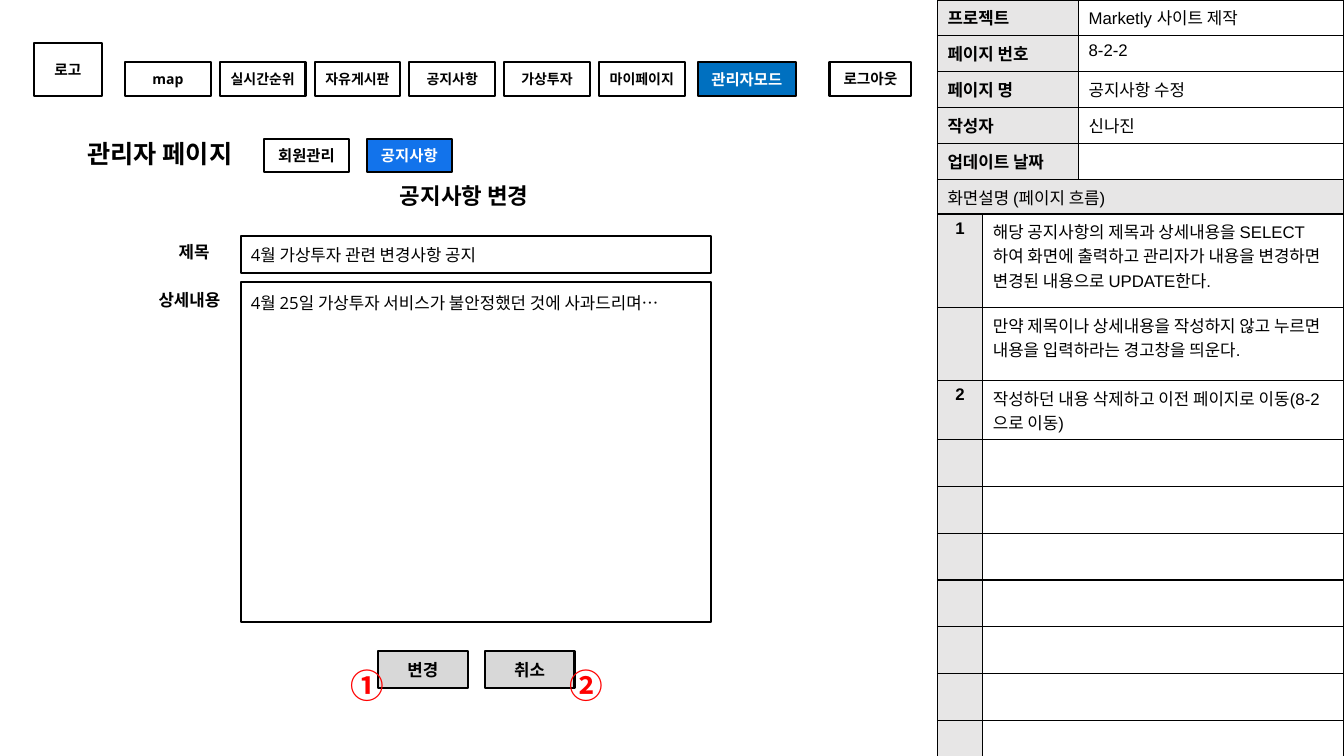
from collections import namedtuple

from lxml import etree
from pptx import Presentation
from pptx.dml.color import RGBColor
from pptx.enum import shapes, text
from pptx.oxml import ns
from pptx.util import Pt

Box = namedtuple("Box", "left top width height")

COLORS = {
    "ink": "000000",
    "paper": "FFFFFF",
    "label": "E7E6E6",
    "button": "D8D8D8",
    "mode": "0070C0",
    "tab": "1273EB",
    "marker": "FF0000",
}

MENU = ["map", "실시간순위", "자유게시판", "공지사항", "가상투자", "마이페이지"]

PROJECT = [
    ("프로젝트", "Marketly 사이트 제작"),
    ("페이지 번호", "8-2-2"),
    ("페이지 명", "공지사항 수정"),
    ("작성자", "신나진"),
    ("업데이트 날짜", ""),
]

NOTES = [
    ("1", "해당 공지사항의 제목과 상세내용을 SELECT하여 화면에 출력하고 "
          "관리자가 내용을 변경하면 변경된 내용으로 UPDATE한다.", 67),
    ("", "만약 제목이나 상세내용을 작성하지 않고 누르면 내용을 입력하라는 경고창을 띄운다.", 52),
    ("2", "작성하던 내용 삭제하고 이전 페이지로 이동(8-2으로 이동)", 37.5),
] + [("", "", 33.5)] * 7


def color(name):
    """Return the named colour."""
    return RGBColor.from_string(COLORS[name])


def paint(fill, name):
    """Fill with a named colour, or with nothing."""
    if name:
        fill.solid()
        fill.fore_color.rgb = color(name)
    else:
        fill.background()


def write(frame, words, size=12, bold=False, ink="ink", font="Open Sans",
          align="CENTER", anchor="MIDDLE", pad=(7.2, 7.2), wrap=True):
    """Write one formatted paragraph into a text frame."""
    frame.word_wrap = wrap
    frame.auto_size = text.MSO_AUTO_SIZE.NONE
    frame.vertical_anchor = text.MSO_ANCHOR[anchor]
    frame.margin_left = frame.margin_right = Pt(pad[0])
    frame.margin_top = frame.margin_bottom = Pt(pad[1])
    para = frame.paragraphs[0]
    para.alignment = text.PP_ALIGN[align]
    span = para.add_run()
    span.text = words
    span.font.size = Pt(size)
    span.font.bold = bold
    span.font.name = font
    span.font.color.rgb = color(ink)


def add_box(page, box, words, fill=None, **style):
    """Add an outlined rectangle with text."""
    shape = page.shapes.add_shape(shapes.MSO_SHAPE.RECTANGLE, *map(Pt, box))
    shape.shadow.inherit = False
    paint(shape.fill, fill)
    shape.line.color.rgb = color("ink")
    shape.line.width = Pt(1.5)
    write(shape.text_frame, words, **style)


def add_label(page, box, words, **style):
    """Add a plain text label."""
    label = page.shapes.add_textbox(*map(Pt, box))
    write(label.text_frame, words, **style)


def fill_cell(cell, words, fill=None, bold=False, align="LEFT"):
    """Write, fill and border one table cell."""
    cell.margin_left = cell.margin_right = Pt(7.2)
    cell.margin_top = cell.margin_bottom = Pt(3.6)
    para = cell.text_frame.paragraphs[0]
    para.alignment = text.PP_ALIGN[align]
    span = para.add_run()
    span.text = words
    span.font.size = Pt(12)
    span.font.bold = bold
    span.font.name = "Arial"
    span.font.color.rgb = color("ink")
    properties = cell._tc.get_or_add_tcPr()
    for side in ("lnL", "lnR", "lnT", "lnB"):
        border = etree.SubElement(properties, ns.qn("a:" + side), w=str(Pt(1)))
        solid = etree.SubElement(border, ns.qn("a:solidFill"))
        etree.SubElement(solid, ns.qn("a:srgbClr"), val=COLORS["ink"])
    paint(cell.fill, fill)


def add_grid(page, box, widths, heights):
    """Add an unstyled table with the given columns and rows."""
    frame = page.shapes.add_table(len(heights), len(widths), *map(Pt, box))
    table = frame.table
    table.first_row = table.horz_banding = False
    for column, width in zip(table.columns, widths):
        column.width = Pt(width)
    for row, height in zip(table.rows, heights):
        row.height = Pt(height)
    return table


def project_table(page, box):
    """Place the table of project facts."""
    label = 100.8
    heights = [box.height / len(PROJECT)] * len(PROJECT)
    table = add_grid(page, box, [label, box.width - label], heights)
    for row, (name, value) in enumerate(PROJECT):
        fill_cell(table.cell(row, 0), name, fill="label", bold=True)
        fill_cell(table.cell(row, 1), value)


def notes_table(page, box):
    """Place the table of numbered screen notes."""
    number = 32.4
    heights = [23] + [height for _, _, height in NOTES]
    table = add_grid(page, box, [number, box.width - number], heights)
    table.cell(0, 0).merge(table.cell(0, 1))
    fill_cell(table.cell(0, 0), "화면설명 (페이지 흐름)", fill="label")
    for row, (mark, note, _) in enumerate(NOTES, 1):
        fill_cell(table.cell(row, 0), mark, fill="label", bold=True, align="CENTER")
        fill_cell(table.cell(row, 1), note)


def menu_bar(page, box):
    """Place the logo box, the menu and the account buttons."""
    height = 23.8
    top = box.top + box.height - height
    style = {"bold": True, "pad": (0, 0)}
    add_box(page, Box(box.left, box.top, 49, box.height), "로고", size=10.5, **style)
    for index, name in enumerate(MENU):
        place = Box(box.left + 65.3 + 67.7 * index, top, 61.2, height)
        add_box(page, place, name, size=10, **style)
    add_box(page, Box(box.left + 474.5, top, 70, height), "관리자모드",
            fill="mode", size=11, ink="paper", **style)
    add_box(page, Box(box.left + box.width - 58.5, top, 58.5, height), "로그아웃",
            size=10.5, **style)


def page_heading(page, box):
    """Place the page title, its tabs and the form heading."""
    title = page.shapes.title
    title.left, title.top, title.width, title.height = map(
        Pt, (box.left, box.top, 130.3, 26.6))
    write(title.text_frame, "관리자 페이지", size=18, bold=True)
    tabs = [("회원관리", "paper", "ink"), ("공지사항", "tab", "paper")]
    for index, (name, fill, ink) in enumerate(tabs):
        place = Box(box.left + 139.7 + 73.5 * index, box.top + 2.9, 60.5, 23.8)
        add_box(page, place, name, fill=fill, ink=ink, size=11, bold=True, pad=(0, 0))
    add_label(page, Box(box.left + 217.4, box.top + 30.2, 130.3, 26.6),
              "공지사항 변경", size=16, bold=True)


def notice_form(page, box):
    """Place the form fields, its buttons and the numbered markers."""
    field = box.left + 74.2
    width = box.width - 74.2
    add_label(page, Box(box.left + 10.8, box.top - 2.2, 59.8, 26.6), "제목", bold=True)
    add_label(page, Box(box.left, box.top + 32.4, 74.9, 26.6), "상세내용", bold=True)
    add_box(page, Box(field, box.top, width, 26.6),
            "4월 가상투자 관련 변경사항 공지", align="LEFT")
    add_box(page, Box(field, box.top + 33.1, width, 242.6),
            "4월 25일 가상투자 서비스가 불안정했던 것에 사과드리며…",
            align="LEFT", anchor="TOP")
    buttons = [("변경", 172.1, "①", 145.4), ("취소", 248.4, "②", 301.7)]
    for name, left, mark, mark_left in buttons:
        add_box(page, Box(box.left + left, box.top + 296.6, 64.1, 26.6), name,
                fill="button", bold=True)
        add_label(page, Box(box.left + mark_left, box.top + 303.1, 40, 36), mark,
                  size=24, bold=True, ink="marker", font="Noto Sans CJK KR",
                  align="LEFT", anchor="TOP", pad=(7.2, 3.6), wrap=False)


def main():
    """Build and save the deck."""
    deck = Presentation()
    deck.slide_width, deck.slide_height = Pt(960), Pt(540)
    page = deck.slides.add_slide(deck.slide_layouts[5])
    project_table(page, Box(669.6, 0, 290.4, 128.2))
    notes_table(page, Box(669.6, 128.2, 290.4, 411.8))
    menu_bar(page, Box(24, 31, 627, 37.4))
    page_heading(page, Box(49, 96.5, 348, 57))
    notice_form(page, Box(97.9, 168.5, 410, 339))
    deck.save("out.pptx")


if __name__ == "__main__":
    main()
